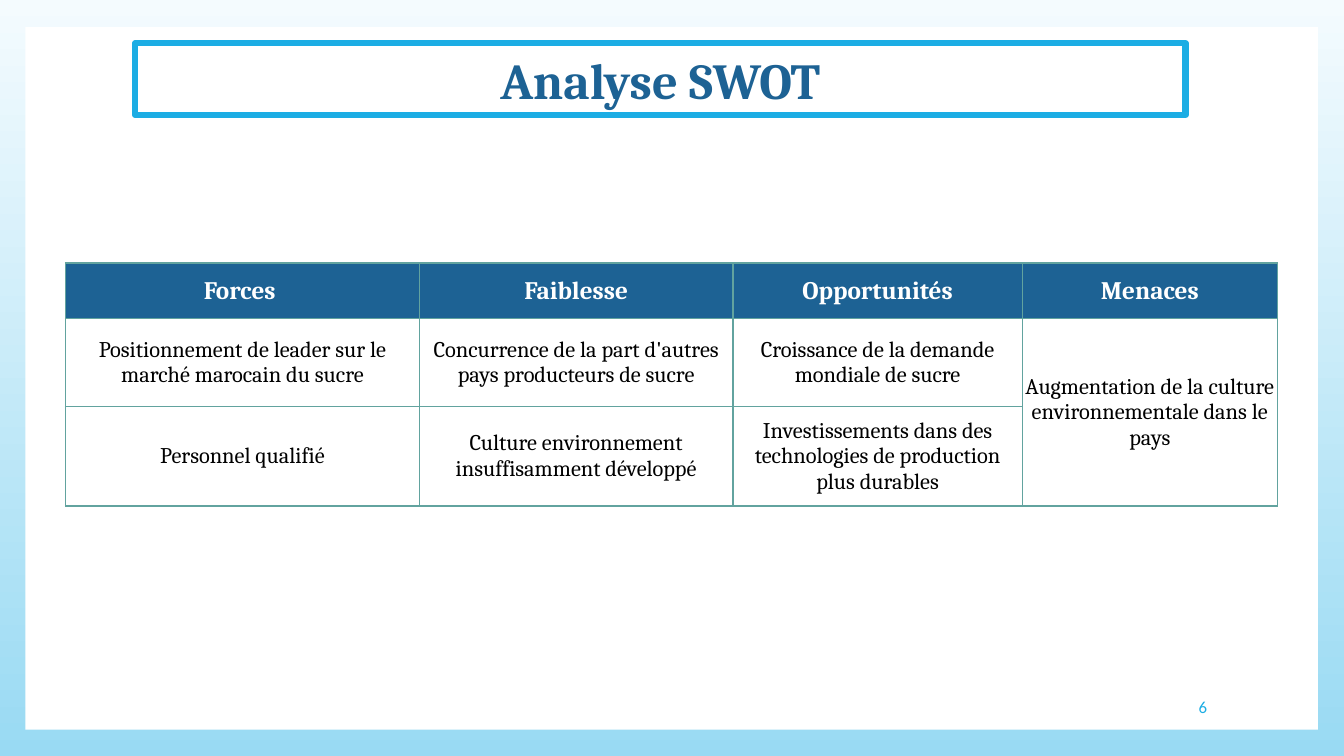
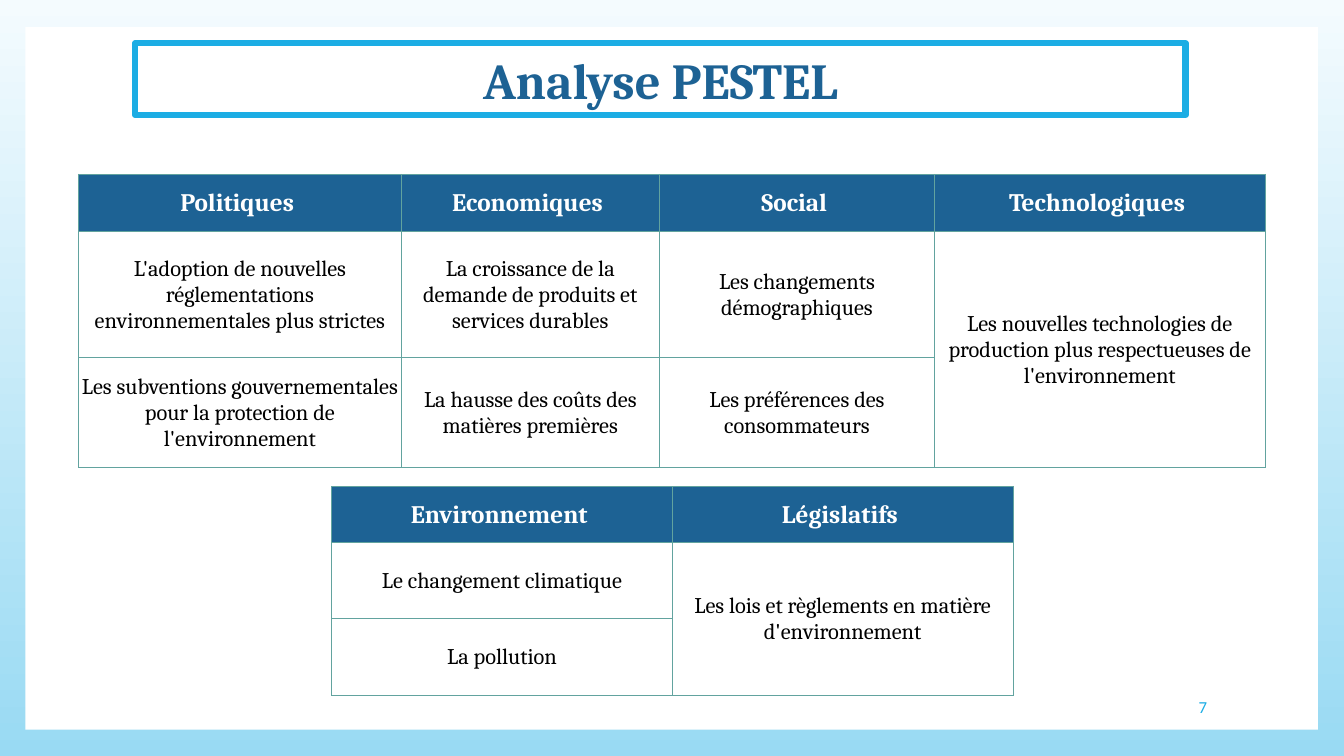
import pptx
import pptx.dml.color
import pptx.enum.shapes
import pptx.enum.text
import pptx.oxml.ns
import pptx.util
from lxml import etree

PP_ALIGN = pptx.enum.text.PP_ALIGN
MIDDLE = pptx.enum.text.MSO_ANCHOR.MIDDLE
Pt = pptx.util.Pt
COLORS = {
    "sky_top": "F4FBFE",
    "sky_bottom": "99DAF3",
    "panel": "FFFFFF",
    "accent": "1CADE4",
    "dark": "1D6294",
    "border": "62A39F",
    "text": "000000",
}
RGB = {k: pptx.dml.color.RGBColor.from_string(v) for k, v in COLORS.items()}
FIRST_NUMBER = 6

SLIDES = [
    ("Analyse SWOT", [
        {
            "at": (4.88, 34.8),
            "cols": [26.33, 23.33, 21.53, 18.98],
            "rows": [7.33, 11.6, 13.2],
            "cells": [
                ["Forces ", "Faiblesse", "Opportunités", "Menaces"],
                ["Positionnement de leader sur le marché marocain du sucre",
                 "Concurrence de la part d'autres pays producteurs de sucre",
                 "Croissance de la demande mondiale de sucre",
                 "Augmentation de la culture environnementale dans le pays"],
                ["Personnel qualifié",
                 "Culture environnement insuffisamment développé",
                 "Investissements dans des technologies de production plus durables"],
            ],
        },
    ]),
    ("Analyse PESTEL", [
        {
            "at": (5.85, 23.07),
            "cols": [24.01, 19.2, 20.48, 24.6],
            "rows": [7.6, 16.67, 14.53],
            "cells": [
                ["Politiques ", "Economiques ", "Social ", "Technologiques "],
                ["L'adoption de nouvelles réglementations environnementales plus strictes",
                 "La croissance de la demande de produits et services durables",
                 "Les changements démographiques",
                 "Les nouvelles technologies de production plus respectueuses de l'environnement"],
                ["Les subventions gouvernementales pour la protection de l'environnement",
                 "La hausse des coûts des matières premières",
                 "Les préférences des consommateurs"],
            ],
        },
        {
            "at": (24.68, 64.4),
            "cols": [25.35, 25.35],
            "rows": [7.33, 10.13, 10.13],
            "cells": [
                ["Environnement ", "Législatifs "],
                ["Le changement climatique",
                 "Les lois et règlements en matière d'environnement"],
                ["La pollution"],
            ],
        },
    ]),
]

prs = pptx.Presentation()
prs.slide_width = pptx.util.Inches(13.33)
prs.slide_height = pptx.util.Inches(7.5)


def share(x, y, w, h):
    width, height = prs.slide_width / 100, prs.slide_height / 100
    return int(x * width), int(y * height), int(w * width), int(h * height)


def write(tf, text, size, color, font="Cambria", bold=False, align=PP_ALIGN.CENTER):
    tf.word_wrap = True
    p = tf.paragraphs[0]
    p.alignment = align
    r = p.add_run()
    r.text = text
    r.font.name = font
    r.font.size = Pt(size)
    r.font.bold = bold
    r.font.color.rgb = RGB[color]


master = prs.slide_master
fill = master.background.fill
fill.gradient()
fill.gradient_angle = 270
for stop, name, pos in zip(fill.gradient_stops, ("sky_top", "sky_bottom"), (0, 1)):
    stop.color.rgb = RGB[name]
    stop.position = pos

for number, (title, tables) in enumerate(SLIDES, FIRST_NUMBER):
    s = prs.slides.add_slide(prs.slide_layouts[5])

    if number == FIRST_NUMBER:
        panel = s.shapes.add_shape(pptx.enum.shapes.MSO_SHAPE.RECTANGLE,
                                   *share(1.88, 3.6, 96.17, 92.93))
        panel.shadow.inherit = False
        panel.fill.solid()
        panel.fill.fore_color.rgb = RGB["panel"]
        panel.line.fill.background()
        master.shapes._spTree.insert(2, panel._element)

    sp = s.shapes.title
    sp.left, sp.top, sp.width, sp.height = share(10.05, 5.73, 78.17, 9.47)
    sp.fill.solid()
    sp.fill.fore_color.rgb = RGB["panel"]
    sp.line.color.rgb = RGB["accent"]
    sp.line.width = Pt(4.5)
    sp.text_frame.auto_size = pptx.enum.text.MSO_AUTO_SIZE.NONE
    sp.text_frame.vertical_anchor = MIDDLE
    write(sp.text_frame, title, 36, "dark", bold=True)

    sp = s.shapes.add_textbox(*share(76.52, 90.8, 14.03, 5.33))
    sp.text_frame.vertical_anchor = MIDDLE
    write(sp.text_frame, str(number), 12, "accent", "Calibri", align=PP_ALIGN.RIGHT)

    for spec_table in tables:
        cols, rows = spec_table["cols"], spec_table["rows"]
        box = share(*spec_table["at"], sum(cols), sum(rows))
        tbl = s.shapes.add_table(len(rows), len(cols), *box).table
        tbl.horz_banding = False
        for column, w in zip(tbl.columns, cols):
            column.width = share(0, 0, w, 0)[2]
        for row, h in zip(tbl.rows, rows):
            row.height = share(0, 0, 0, h)[3]
        last = len(cols) - 1
        tbl.cell(1, last).merge(tbl.cell(2, last))

        for i, row in enumerate(tbl.rows):
            for j, cell in enumerate(row.cells):
                cell.margin_left = cell.margin_right = cell.margin_top = Pt(0.72)
                cell.margin_bottom = 0
                cell.vertical_anchor = MIDDLE
                for side in ("lnL", "lnR", "lnT", "lnB"):
                    ln = etree.SubElement(cell._tc.get_or_add_tcPr(),
                                          pptx.oxml.ns.qn("a:" + side), w=str(Pt(1)))
                    solid = etree.SubElement(ln, pptx.oxml.ns.qn("a:solidFill"))
                    etree.SubElement(solid, pptx.oxml.ns.qn("a:srgbClr"),
                                     val=COLORS["border"])
                if i == 0:
                    cell.fill.solid()
                    cell.fill.fore_color.rgb = RGB["dark"]
                else:
                    cell.fill.background()
                if j < len(spec_table["cells"][i]):
                    size, color = (18, "panel") if i == 0 else (16, "text")
                    write(cell.text_frame, spec_table["cells"][i][j], size, color,
                          bold=i == 0)

prs.save("out.pptx")
